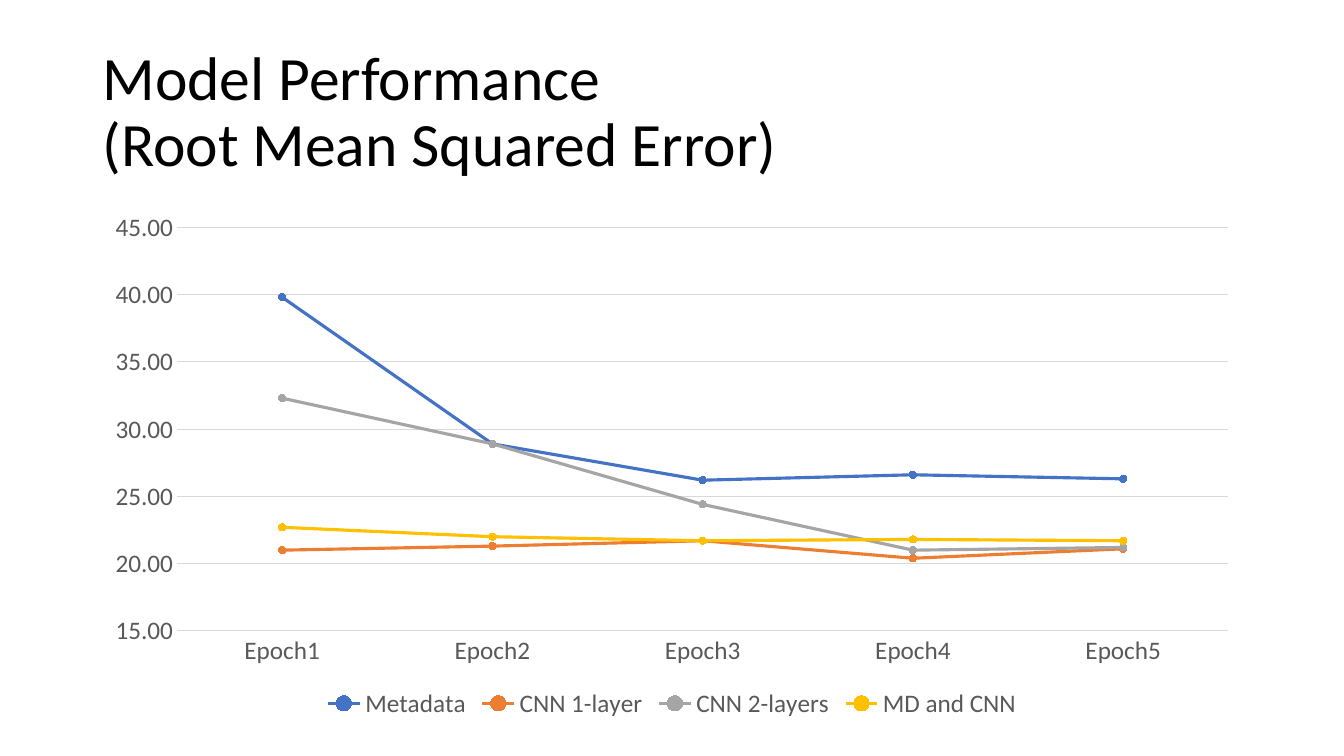
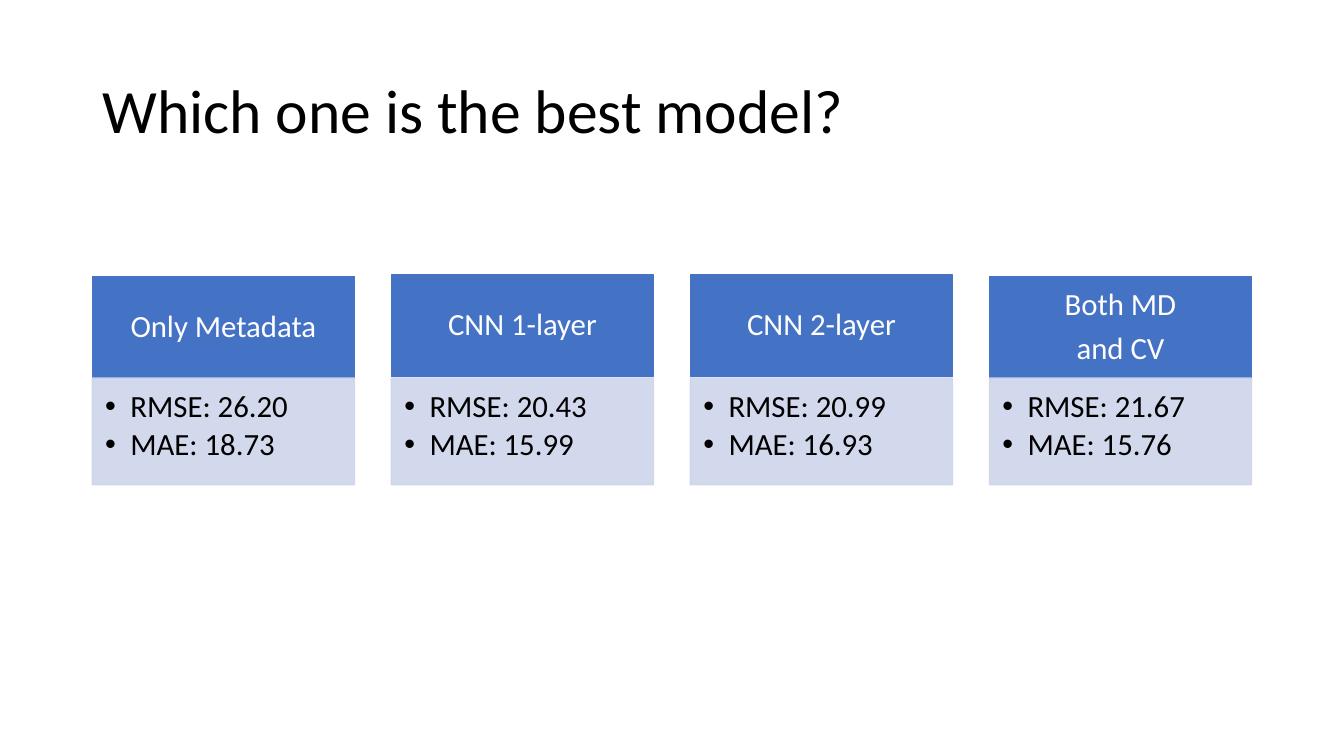
"""Build two slides that compare the errors of four models."""
from lxml import etree
from pptx import Presentation
from pptx import util as u
from pptx.chart import data as chart_data
from pptx.dml import color
from pptx.enum import chart as charts, shapes, text
from pptx.oxml import ns

BLUE = color.RGBColor(0x44, 0x72, 0xC4)
ORANGE = color.RGBColor(0xED, 0x7D, 0x31)
GRAY = color.RGBColor(0xA5, 0xA5, 0xA5)
GOLD = color.RGBColor(0xFF, 0xC0, 0x00)
PALE_BLUE = color.RGBColor(0xCF, 0xD5, 0xEA)
LABEL_GRAY = color.RGBColor(0x59, 0x59, 0x59)
GRID_GRAY = color.RGBColor(0xD9, 0xD9, 0xD9)
BLACK = color.RGBColor(0, 0, 0)
WHITE = color.RGBColor(0xFF, 0xFF, 0xFF)

FONT = "Calibri"
LEFT, CONTENT_WIDTH = 66, 828
CARD_WIDTH, HEADER_HEIGHT = 187.2, 72.7
BODY_TOP, BODY_HEIGHT = 270, 76.3

EPOCHS = ["Epoch1", "Epoch2", "Epoch3", "Epoch4", "Epoch5"]
ERRORS = [
    ("Metadata", BLUE, (39.8, 28.9, 26.2, 26.6, 26.3)),
    ("CNN 1-layer", ORANGE, (21, 21.3, 21.7, 20.4, 21.1)),
    ("CNN 2-layers", GRAY, (32.3, 28.9, 24.4, 21, 21.2)),
    ("MD and CNN", GOLD, (22.7, 22, 21.7, 21.8, 21.7)),
]
CARDS = [
    (197.3, ["Only Metadata"], ["RMSE: 26.20", "MAE: 18.73"]),
    (196.3, ["CNN 1-layer"], ["RMSE: 20.43", "MAE: 15.99"]),
    (196.3, ["CNN 2-layer"], ["RMSE: 20.99", "MAE: 16.93"]),
    (197.3, ["Both MD", "and CV"], ["RMSE: 21.67", "MAE: 15.76"]),
]

TITLE_FRAME = {"vertical_anchor": text.MSO_ANCHOR.MIDDLE,
               "auto_size": text.MSO_AUTO_SIZE.NONE, "word_wrap": True}
TITLE_PARA = {"alignment": text.PP_ALIGN.LEFT, "line_spacing": 0.9}
HEADER_FRAME = {"vertical_anchor": text.MSO_ANCHOR.MIDDLE, "word_wrap": True,
                "margin_left": u.Pt(12.3), "margin_right": u.Pt(12.3),
                "margin_top": u.Pt(7), "margin_bottom": u.Pt(7)}
HEADER_PARA = {"alignment": text.PP_ALIGN.CENTER, "line_spacing": 0.9,
               "space_after": u.Pt(7.7)}
BODY_FRAME = {"vertical_anchor": text.MSO_ANCHOR.TOP, "word_wrap": True,
              "margin_left": u.Pt(9.2), "margin_right": u.Pt(12.3),
              "margin_top": u.Pt(9.2), "margin_bottom": u.Pt(13.9)}
BODY_PARA = {"alignment": text.PP_ALIGN.LEFT, "line_spacing": 0.9,
             "space_after": u.Pt(3.3), "level": 1}
VALUE_AXIS = {"minimum_scale": 15, "maximum_scale": 45, "major_unit": 5,
              "has_major_gridlines": True}


def apply_format(target, values):
    """Set each named attribute of the target."""
    for name, value in values.items():
        setattr(target, name, value)


def format_font(font, size, rgb):
    """Set the deck's typeface with a size and colour."""
    apply_format(font, {"name": FONT, "size": u.Pt(size)})
    font.color.rgb = rgb


def format_line(line, rgb, width):
    """Give a line a solid colour and a width."""
    line.color.rgb = rgb
    line.width = u.Pt(width)


def place(box, left, top, width, height):
    """Position a box in points."""
    apply_format(box, {"left": u.Pt(left), "top": u.Pt(top),
                       "width": u.Pt(width), "height": u.Pt(height)})


def add_titled_slide(deck, title):
    """Add a slide that holds a formatted title."""
    page = deck.slides.add_slide(deck.slide_layouts[5])
    box = page.shapes.title
    place(box, LEFT, 28.8, CONTENT_WIDTH, 104.4)
    apply_format(box.text_frame, TITLE_FRAME)
    para = box.text_frame.paragraphs[0]
    para.text = title
    apply_format(para, TITLE_PARA)
    for span in para.runs:
        format_font(span.font, 44, BLACK)
    return page


def add_error_chart(page):
    """Draw the error of each model by epoch."""
    data = chart_data.CategoryChartData()
    data.categories = EPOCHS
    for name, _, values in ERRORS:
        data.add_series(name, values)
    chart = page.shapes.add_chart(
        charts.XL_CHART_TYPE.LINE_MARKERS, u.Pt(LEFT), u.Pt(144),
        u.Pt(CONTENT_WIDTH), u.Pt(373), data).chart
    format_font(chart.font, 18, BLACK)
    apply_format(chart, {"has_title": False, "has_legend": True})
    apply_format(chart.legend, {"position": charts.XL_LEGEND_POSITION.BOTTOM,
                                "include_in_layout": False})
    format_font(chart.legend.font, 18, LABEL_GRAY)

    apply_format(chart.value_axis, VALUE_AXIS)
    apply_format(chart.value_axis.tick_labels,
                 {"number_format": "0.00", "number_format_is_linked": False})
    for axis in (chart.category_axis, chart.value_axis):
        apply_format(axis, {"major_tick_mark": charts.XL_TICK_MARK.NONE,
                            "minor_tick_mark": charts.XL_TICK_MARK.NONE})
        format_font(axis.tick_labels.font, 18, LABEL_GRAY)
    format_line(chart.category_axis.format.line, GRID_GRAY, 0.75)
    format_line(chart.value_axis.major_gridlines.format.line, GRID_GRAY, 0.75)
    chart.value_axis.format.line.fill.background()

    chart.plots[0].vary_by_categories = False
    for series, (_, rgb, _) in zip(chart.plots[0].series, ERRORS):
        series.smooth = False
        format_line(series.format.line, rgb, 2.25)
        apply_format(series.marker,
                     {"style": charts.XL_MARKER_STYLE.CIRCLE, "size": 5})
        series.marker.format.fill.solid()
        series.marker.format.fill.fore_color.rgb = rgb
        format_line(series.marker.format.line, rgb, 0.75)


def add_panel(page, left, top, height, rgb, frame_format):
    """Add a filled rectangle with a matching outline."""
    box = page.shapes.add_shape(shapes.MSO_SHAPE.RECTANGLE, u.Pt(left),
                                u.Pt(top), u.Pt(CARD_WIDTH), u.Pt(height))
    box.shadow.inherit = False
    box.fill.solid()
    box.fill.fore_color.rgb = rgb
    format_line(box.line, rgb, 1)
    apply_format(box.text_frame, frame_format)
    return box


def set_opacity(box, percent):
    """Make the fill and outline of a box partly transparent."""
    for tint in box.element.spPr.iter(ns.qn("a:srgbClr")):
        etree.SubElement(tint, ns.qn("a:alpha"), val=str(percent * 1000))


def add_bullet(para):
    """Give a paragraph a hanging round bullet."""
    props = para._p.get_or_add_pPr()
    props.set("marL", str(u.Pt(18)))
    props.set("indent", str(u.Pt(-18)))
    etree.SubElement(props, ns.qn("a:buFont"), typeface="Arial")
    etree.SubElement(props, ns.qn("a:buChar"), char="•")


def write_lines(box, lines, para_format, rgb, bulleted=False):
    """Write one paragraph for each line."""
    box.text_frame.text = "\n".join(lines)
    for para in box.text_frame.paragraphs:
        apply_format(para, para_format)
        if bulleted:
            add_bullet(para)
        for span in para.runs:
            format_font(span.font, 22, rgb)


def add_card(page, left, top, heading, scores):
    """Add a model's heading above its scores."""
    header = add_panel(page, left, top, HEADER_HEIGHT, BLUE, HEADER_FRAME)
    write_lines(header, heading, HEADER_PARA, WHITE)
    body = add_panel(page, left, BODY_TOP, BODY_HEIGHT, PALE_BLUE, BODY_FRAME)
    set_opacity(body, 90)
    write_lines(body, scores, BODY_PARA, BLACK, bulleted=True)


def main():
    """Build and save the deck."""
    deck = Presentation()
    apply_format(deck, {"slide_width": u.Pt(960), "slide_height": u.Pt(540)})
    add_error_chart(add_titled_slide(
        deck, "Model Performance\n(Root Mean Squared Error)"))

    page = add_titled_slide(deck, "Which one is the best model?")
    pitch = (CONTENT_WIDTH - CARD_WIDTH) / (len(CARDS) - 1)
    for index, (top, heading, scores) in enumerate(CARDS):
        add_card(page, LEFT + index * pitch, top, heading, scores)
    deck.save("out.pptx")


if __name__ == "__main__":
    main()
